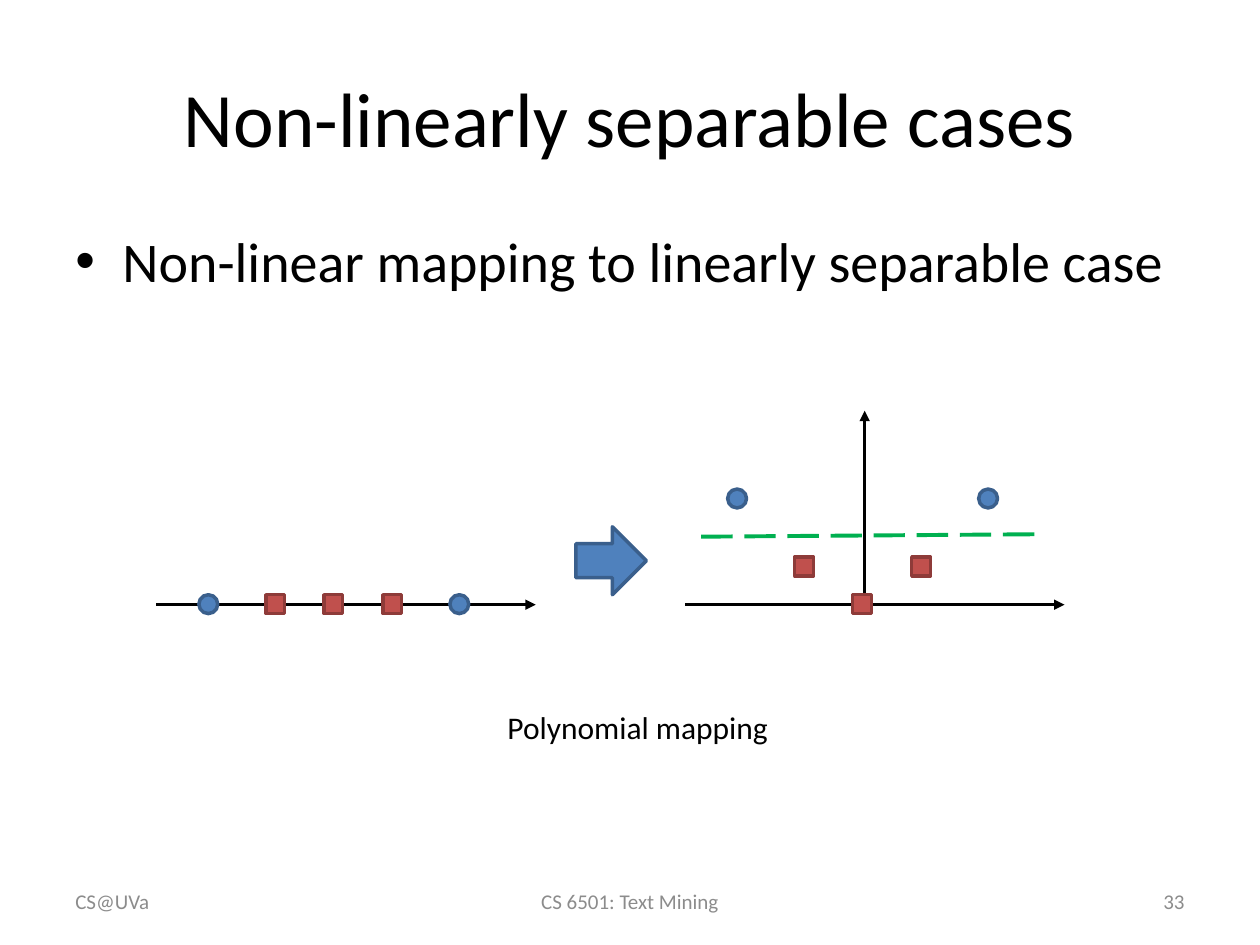
"""Build a slide on mapping non-linearly separable points to a separable space."""
from dataclasses import dataclass

from lxml import etree
from pptx import Presentation
from pptx.dml.color import RGBColor
from pptx.enum.dml import MSO_LINE
from pptx.enum.shapes import MSO_CONNECTOR, MSO_SHAPE
from pptx.enum.text import MSO_ANCHOR, PP_ALIGN
from pptx.oxml.ns import qn
from pptx.util import Cm, Pt

LEFT, CENTER, RIGHT = PP_ALIGN.LEFT, PP_ALIGN.CENTER, PP_ALIGN.RIGHT
TOP, MIDDLE = MSO_ANCHOR.TOP, MSO_ANCHOR.MIDDLE
CIRCLE, SQUARE, ARROW = MSO_SHAPE.OVAL, MSO_SHAPE.RECTANGLE, MSO_SHAPE.RIGHT_ARROW
STRAIGHT = MSO_CONNECTOR.STRAIGHT
LONG_DASH = MSO_LINE.LONG_DASH


@dataclass(frozen=True)
class Theme:
    font: str = "Calibri"
    ink: str = "000000"
    muted: str = "8C8C8C"
    blue: tuple = ("4F81BD", "3A5F8C")
    red: tuple = ("C0504D", "8E3B39")
    boundary: str = "00B050"
    title: int = 44
    body: int = 32
    caption: int = 18
    footer: int = 12
    axis_width: float = 1.5
    outline_width: float = 2
    boundary_width: float = 2.25


THEME = Theme()
MARKER_SIZE = 0.38
BASELINE = 11.99
AXIS_Y = 12.19
AXIS_START, AXIS_END = 3.15, 10.8
MAPPED_SHIFT = 10.66
POINTS = [
    (4.01, 2.13, CIRCLE, THEME.blue),
    (5.36, 0.76, SQUARE, THEME.red),
    (6.53, 0, SQUARE, THEME.red),
    (7.72, 0.76, SQUARE, THEME.red),
    (9.07, 2.13, CIRCLE, THEME.blue),
]


def rgb(value):
    return RGBColor.from_string(value)


def add_text(slide, text, box, *, size, color=THEME.ink, align=LEFT,
             anchor=TOP, bullet=False, wrap=True):
    frame = slide.shapes.add_textbox(*map(Cm, box)).text_frame
    frame.word_wrap = wrap
    frame.vertical_anchor = anchor
    paragraph = frame.paragraphs[0]
    paragraph.text = text
    paragraph.alignment = align
    if bullet:
        properties = paragraph._p.get_or_add_pPr()
        properties.set("marL", str(Cm(0.95)))
        properties.set("indent", str(-Cm(0.95)))
        etree.SubElement(properties, qn("a:buFont"), typeface="Arial")
        etree.SubElement(properties, qn("a:buChar"), char="•")
    font = paragraph.font
    font.name = THEME.font
    font.size = Pt(size)
    font.color.rgb = rgb(color)


def add_figure(slide, preset, box, colors):
    figure = slide.shapes.add_shape(preset, *map(Cm, box))
    fill, outline = colors
    figure.shadow.inherit = False
    figure.fill.solid()
    figure.fill.fore_color.rgb = rgb(fill)
    figure.line.color.rgb = rgb(outline)
    figure.line.width = Pt(THEME.outline_width)


def add_line(slide, start, end, *, color=THEME.ink, width=THEME.axis_width,
             dash=None, arrow=False):
    connector = slide.shapes.add_connector(STRAIGHT, *map(Cm, (*start, *end)))
    connector.line.color.rgb = rgb(color)
    connector.line.width = Pt(width)
    if dash is not None:
        connector.line.dash_style = dash
    if arrow:
        etree.SubElement(connector.line._get_or_add_ln(), qn("a:tailEnd"), type="triangle")
    etree.SubElement(connector._element.spPr, qn("a:effectLst"))


def add_plot(slide, shift=0, mapped=False):
    add_line(slide, (AXIS_START + shift, AXIS_Y), (AXIS_END + shift, AXIS_Y), arrow=True)
    if mapped:
        add_line(slide, (17.43, AXIS_Y), (17.43, 8.28), arrow=True)
    for x, lift, preset, colors in POINTS:
        y = BASELINE - lift if mapped else BASELINE
        add_figure(slide, preset, (x + shift, y, MARKER_SIZE, MARKER_SIZE), colors)


def add_footer(slide):
    for text, left, width, align in (
        ("CS@UVa", 1.27, 5.93, LEFT),
        ("CS 6501: Text Mining", 8.68, 8.04, CENTER),
        ("33", 18.2, 5.93, RIGHT),
    ):
        add_text(slide, text, (left, 17.65, width, 1.02), size=THEME.footer,
                 color=THEME.muted, align=align, anchor=MIDDLE)


def main():
    deck = Presentation()
    deck.slide_width, deck.slide_height = Cm(25.4), Cm(19.05)
    slide = deck.slides.add_slide(deck.slide_layouts[6])
    add_text(slide, "Non-linearly separable cases", (1.27, 0.76, 22.86, 3.18),
             size=THEME.title, align=CENTER, anchor=MIDDLE)
    add_text(slide, "Non-linear mapping to linearly separable case",
             (1.27, 4.45, 22.86, 12.57), size=THEME.body, bullet=True)
    add_footer(slide)
    add_plot(slide)
    add_figure(slide, ARROW, (11.61, 10.62, 1.42, 1.37), THEME.blue)
    add_text(slide, "Polynomial mapping", (9.98, 14.15, 6.07, 1.04),
             size=THEME.caption, wrap=False)
    add_plot(slide, MAPPED_SHIFT, mapped=True)
    add_line(slide, (20.85, 10.77), (13.97, 10.82), color=THEME.boundary,
             width=THEME.boundary_width, dash=LONG_DASH)
    deck.save("out.pptx")


if __name__ == "__main__":
    main()
